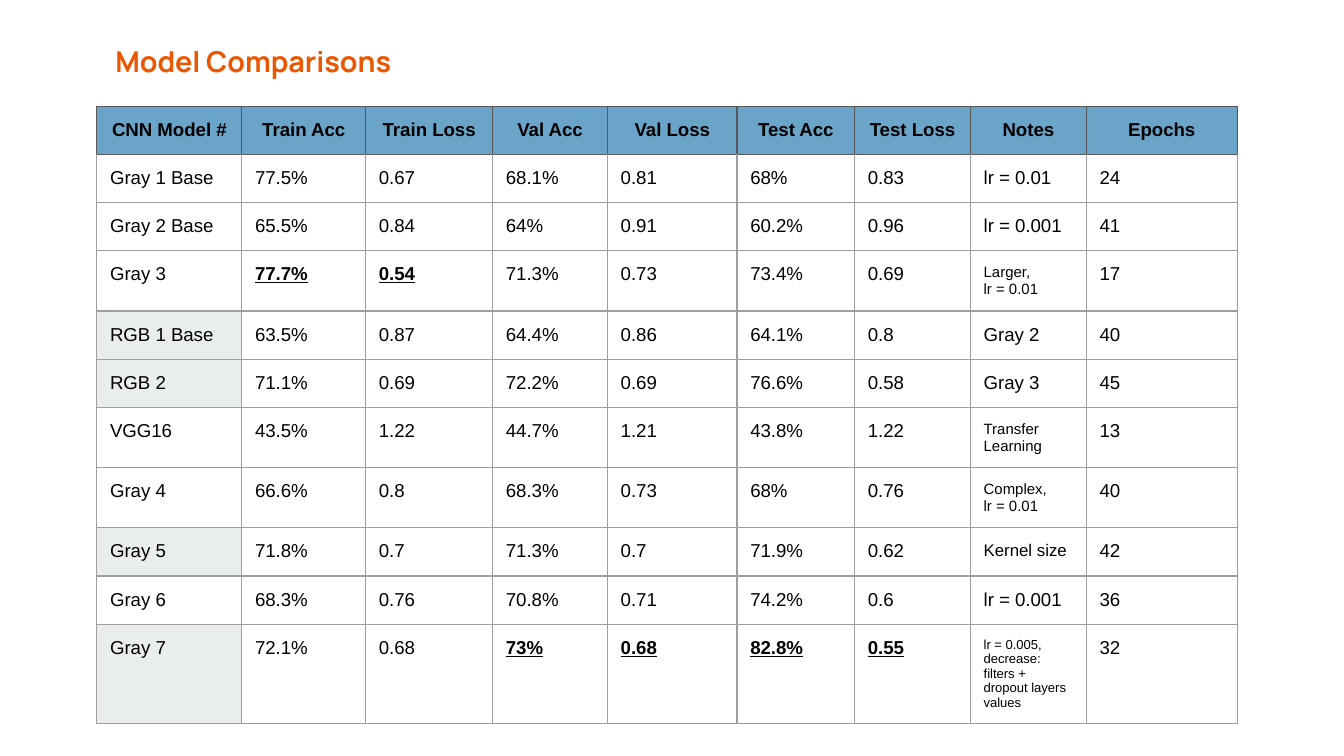
"""Build a slide with a table that compares CNN models."""
from lxml import etree
from pptx import Presentation
from pptx import util as u
from pptx.dml.color import RGBColor
from pptx.enum import text
from pptx.oxml import ns

ORANGE = RGBColor(0xEB, 0x56, 0x00)
BLUE = RGBColor(0x6A, 0xA4, 0xC8)
PALE = RGBColor(0xE9, 0xED, 0xEE)
BLACK = RGBColor(0x00, 0x00, 0x00)
DARK_LINE = RGBColor(0x59, 0x59, 0x59)
LIGHT_LINE = RGBColor(0x9E, 0x9E, 0x9E)

TITLE = "Model Comparisons"
HEADERS = ("CNN Model #", "Train Acc", "Train Loss", "Val Acc", "Val Loss",
           "Test Acc", "Test Loss", "Notes", "Epochs")
MODELS = [
    ("Gray 1 Base", "77.5%", "0.67", "68.1%", "0.81", "68%", "0.83", "lr = 0.01", "24"),
    ("Gray 2 Base", "65.5%", "0.84", "64%", "0.91", "60.2%", "0.96", "lr = 0.001", "41"),
    ("Gray 3", "77.7%", "0.54", "71.3%", "0.73", "73.4%", "0.69", "Larger,\nlr = 0.01", "17"),
    ("RGB 1 Base", "63.5%", "0.87", "64.4%", "0.86", "64.1%", "0.8", "Gray 2", "40"),
    ("RGB 2", "71.1%", "0.69", "72.2%", "0.69", "76.6%", "0.58", "Gray 3", "45"),
    ("VGG16", "43.5%", "1.22", "44.7%", "1.21", "43.8%", "1.22", "Transfer Learning", "13"),
    ("Gray 4", "66.6%", "0.8", "68.3%", "0.73", "68%", "0.76", "Complex,\nlr = 0.01", "40"),
    ("Gray 5", "71.8%", "0.7", "71.3%", "0.7", "71.9%", "0.62", "Kernel size", "42"),
    ("Gray 6", "68.3%", "0.76", "70.8%", "0.71", "74.2%", "0.6", "lr = 0.001", "36"),
    ("Gray 7", "72.1%", "0.68", "73%", "0.68", "82.8%", "0.55",
     "lr = 0.005, decrease: filters + dropout layers values", "32"),
]
SHADED_MODELS = {"RGB 1 Base", "RGB 2", "Gray 5", "Gray 7"}
BEST = {"Gray 3": ("Train Acc", "Train Loss"),
        "Gray 7": ("Val Acc", "Val Loss", "Test Acc", "Test Loss")}
NOTE_SIZES = {"Gray 3": 8, "VGG16": 8, "Gray 4": 8, "Gray 5": 9, "Gray 7": 7}
ROW_HEIGHTS = {10: 0.91, 9: 0.91, 8: 1.14, 7: 1.86}
COLUMN_WIDTHS = (2.74, 2.34, 2.4, 2.17, 2.45, 2.22, 2.19, 2.19, 2.85)
TABLE_LEFT, TABLE_TOP = 1.83, 2.01
INSET = u.Cm(0.25)


def add_span(para, words, font, size, color, bold=False, underline=False):
    span = para.add_run()
    span.text = words
    span.font.name = font
    span.font.size = u.Pt(size)
    span.font.color.rgb = color
    span.font.bold = bold
    span.font.underline = underline


def set_borders(cell, color, top_color):
    properties = cell._tc.get_or_add_tcPr()
    for side in "LRTB":
        line = etree.SubElement(properties, ns.qn(f"a:ln{side}"), w=str(u.Pt(0.75)))
        fill = etree.SubElement(line, ns.qn("a:solidFill"))
        etree.SubElement(fill, ns.qn("a:srgbClr"),
                         val=str(top_color if side == "T" else color))


def fill_cell(cell, words, size, fill, line, top_line, bold, underline, align):
    cell.margin_left = cell.margin_right = INSET
    cell.margin_top = cell.margin_bottom = INSET
    set_borders(cell, line, top_line)
    if fill is None:
        cell.fill.background()
    else:
        cell.fill.solid()
        cell.fill.fore_color.rgb = fill
    frame = cell.text_frame
    for index, words_line in enumerate(words.split("\n")):
        para = frame.add_paragraph() if index else frame.paragraphs[0]
        para.alignment = align
        add_span(para, words_line, "Arial", size, BLACK, bold, underline)


def add_title(page):
    box = page.shapes.add_textbox(u.Cm(1.93), u.Cm(0.74), u.Cm(21.39), u.Cm(1.27))
    frame = box.text_frame
    frame.word_wrap = True
    frame.vertical_anchor = text.MSO_ANCHOR.MIDDLE
    frame.margin_left = frame.margin_right = frame.margin_top = INSET
    frame.margin_bottom = u.Cm(0.58)
    para = frame.paragraphs[0]
    para.line_spacing = 0.8
    add_span(para, TITLE, "Manrope", 15.4, ORANGE, bold=True)


def add_comparison(page):
    heights = [ROW_HEIGHTS[10]]
    heights += [ROW_HEIGHTS[NOTE_SIZES.get(model[0], 10)] for model in MODELS]
    table = page.shapes.add_table(
        len(heights), len(HEADERS), u.Cm(TABLE_LEFT), u.Cm(TABLE_TOP),
        u.Cm(sum(COLUMN_WIDTHS)), u.Cm(sum(heights))).table
    table.first_row = table.horz_banding = False
    for column, width in zip(table.columns, COLUMN_WIDTHS):
        column.width = u.Cm(width)
    for row, height in zip(table.rows, heights):
        row.height = u.Cm(height)
    for column, header in enumerate(HEADERS):
        fill_cell(table.cell(0, column), header, 10, BLUE, DARK_LINE, DARK_LINE,
                  True, False, text.PP_ALIGN.CENTER)
    for row, model in enumerate(MODELS, 1):
        name = model[0]
        top_line = DARK_LINE if row == 1 else LIGHT_LINE
        for column, (header, words) in enumerate(zip(HEADERS, model)):
            size = NOTE_SIZES.get(name, 10) if header == "Notes" else 10
            fill = PALE if column == 0 and name in SHADED_MODELS else None
            best = header in BEST.get(name, ())
            fill_cell(table.cell(row, column), words, size, fill, LIGHT_LINE,
                      top_line, best, best, text.PP_ALIGN.LEFT)


def main():
    deck = Presentation()
    deck.slide_width, deck.slide_height = u.Cm(25.4), u.Cm(14.29)
    page = deck.slides.add_slide(deck.slide_layouts[6])
    add_comparison(page)
    add_title(page)
    deck.save("out.pptx")


if __name__ == "__main__":
    main()
